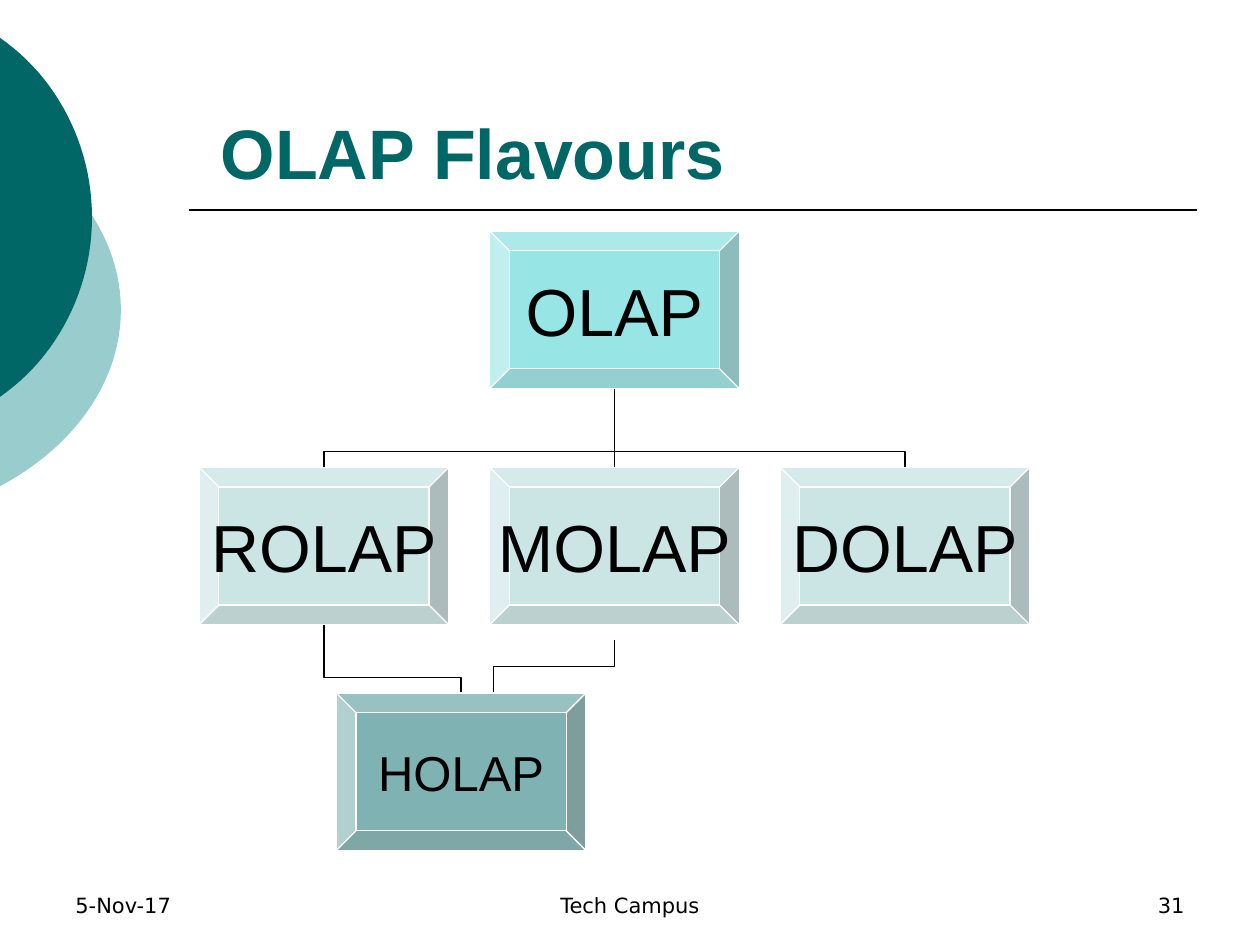
from dataclasses import dataclass

import pptx
import pptx.dml.color
import pptx.enum.shapes
import pptx.enum.text
import pptx.oxml
import pptx.oxml.ns
import pptx.util
from lxml import etree

Pt = pptx.util.Pt
RGB = pptx.dml.color.RGBColor.from_string
qn = pptx.oxml.ns.qn
Align = pptx.enum.text.PP_ALIGN
Anchor = pptx.enum.text.MSO_ANCHOR
Connector = pptx.enum.shapes.MSO_CONNECTOR


@dataclass(frozen=True)
class Theme:
    ink: str = "000000"
    edge: str = "FFFFFF"
    dark: str = "006666"
    pale: str = "99CCCC"
    bright: str = "33CCCC"
    font: str = "Arial"
    footer_font: str = "DejaVu Sans"
    title_size: float = 40
    node_size: float = 38
    small_node_size: float = 28
    footer_size: float = 12
    hairline: float = 0.75
    rule: float = 1


@dataclass(frozen=True)
class Node:
    label: str
    left: float
    top: float
    color: str
    size: float
    width: float = 142.6
    height: float = 90

    @property
    def center(self) -> float:
        return self.left + self.width / 2

    @property
    def bottom(self) -> float:
        return self.top + self.height


@dataclass(frozen=True)
class Link:
    start: tuple[float, float]
    end: tuple[float, float]
    bend: float


@dataclass(frozen=True)
class Disc:
    """Visible right part of a disc: upper Bezier arc, mirrored below its last point."""
    color: str
    arc: tuple[tuple[float, float], ...]


@dataclass(frozen=True)
class Caption:
    text: str
    left: float
    top: float
    width: float
    height: float
    align: Align
    font: str
    size: float
    color: str
    bold: bool = False


def write(frame, text: str, align: Align, font: str, size: float,
          color: str, bold: bool = False) -> None:
    paragraph = frame.paragraphs[0]
    paragraph.alignment = align
    run = paragraph.add_run()
    run.text = text
    run.font.name, run.font.size, run.font.bold = font, Pt(size), bold
    run.font.color.rgb = RGB(color)


def draw_disc(slide, disc: Disc, steps: int = 24) -> None:
    def on_curve(t: float) -> tuple[float, float]:
        weights = ((1 - t) ** 3, 3 * t * (1 - t) ** 2, 3 * t * t * (1 - t), t ** 3)
        return tuple(sum(w * p[axis] for w, p in zip(weights, disc.arc)) for axis in (0, 1))

    upper = [on_curve(i / steps) for i in range(steps + 1)]
    middle = disc.arc[-1][1]
    lower = [(x, 2 * middle - y) for x, y in reversed(upper[:-1])]
    outline = [(Pt(x), Pt(y)) for x, y in upper + lower]
    builder = slide.shapes.build_freeform(*outline[0])
    builder.add_line_segments(outline[1:], close=True)
    shape = builder.convert_to_shape()
    shape.shadow.inherit = False
    shape.fill.solid()
    shape.fill.fore_color.rgb = RGB(disc.color)
    shape.line.fill.background()


def draw_line(slide, kind: Connector, start: tuple[float, float],
              end: tuple[float, float], width: float):
    line = slide.shapes.add_connector(kind, *(Pt(v) for v in (*start, *end)))
    line.line.color.rgb = RGB(theme.ink)
    line.line.width = Pt(width)
    etree.SubElement(line._element.spPr, qn("a:effectLst"))
    return line


def draw_link(slide, link: Link) -> None:
    (x1, y1), (x2, y2) = link.start, link.end
    if x1 == x2:
        draw_line(slide, Connector.STRAIGHT, link.start, link.end, theme.hairline)
        return
    # A quarter turn makes the elbow leave and arrive vertically
    cx, cy = (x1 + x2) / 2, (y1 + y2) / 2
    begin, finish = ((cx + y - cy, cy - x + cx) for x, y in (link.start, link.end))
    elbow = draw_line(slide, Connector.ELBOW, begin, finish, theme.hairline)
    properties = elbow._element.spPr
    properties.find(qn("a:xfrm")).set("rot", "5400000")
    guides = properties.find(qn("a:prstGeom")).get_or_add_avLst()
    share = round((link.bend - y1) / (y2 - y1) * 100000)
    etree.SubElement(guides, qn("a:gd"), name="adj1", fmla=f"val {share}")


def draw_node(slide, node: Node) -> None:
    box = slide.shapes.add_shape(
        pptx.enum.shapes.MSO_SHAPE.BEVEL,
        *(Pt(v) for v in (node.left, node.top, node.width, node.height)))
    box.shadow.inherit = False
    box.adjustments[0] = 0.125
    box.fill.solid()
    box.fill.fore_color.rgb = RGB(node.color)
    tint = box._element.spPr.find(qn("a:solidFill"))[0]
    etree.SubElement(tint, qn("a:alpha"), val="50000")
    box.line.color.rgb = RGB(theme.edge)
    box.line.width = Pt(theme.hairline)
    frame = box.text_frame
    frame.margin_left = frame.margin_right = frame.margin_top = frame.margin_bottom = 0
    frame.word_wrap = False
    frame.vertical_anchor = Anchor.MIDDLE
    write(frame, node.label, Align.CENTER, theme.font, node.size, theme.ink)


def draw_caption(slide, item: Caption) -> None:
    frame = slide.shapes.add_textbox(
        *(Pt(v) for v in (item.left, item.top, item.width, item.height))).text_frame
    frame.word_wrap = True
    frame.vertical_anchor = Anchor.BOTTOM
    write(frame, item.text, item.align, item.font, item.size, item.color, item.bold)


theme = Theme()

# Hierarchy: one root, three flavours on an even pitch, one hybrid
FIRST_LEFT, PITCH = 113.8, 166
root = Node("OLAP", FIRST_LEFT + PITCH, 132, theme.bright, theme.node_size)
flavours = [Node(label, FIRST_LEFT + i * PITCH, 267, theme.pale, theme.node_size)
            for i, label in enumerate(("ROLAP", "MOLAP", "DOLAP"))]
hybrid = Node("HOLAP", 192.2, 396, theme.dark, theme.small_node_size)
rolap, molap, _ = flavours

links = [Link((root.center, root.bottom), (flavour.center, flavour.top), 258)
         for flavour in flavours]
links += [
    Link((rolap.center, rolap.bottom), (hybrid.center, hybrid.top), 387.3),
    Link((molap.center, 365.8), (282.2, hybrid.top), 381),
]

discs = [
    Disc(theme.pale, ((0, 76.3), (43.2, 99.4), (69.1, 136.8), (69.1, 177.1))),
    Disc(theme.dark, ((0, 21.6), (33.1, 44.6), (52.6, 83.5), (52.6, 124.2))),
]

footer_style = (theme.footer_font, theme.footer_size, theme.ink)
captions = [
    Caption("5-Nov-17", 36, 492, 168, 36, Align.LEFT, *footer_style),
    Caption("Tech Campus", 246, 492, 228, 36, Align.CENTER, *footer_style),
    Caption("31", 516, 492, 168, 36, Align.RIGHT, *footer_style),
    Caption(" OLAP Flavours", 108, 24, 576, 90, Align.LEFT,
            theme.font, theme.title_size, theme.dark, True),
]

deck = pptx.Presentation()
deck.slide_width, deck.slide_height = Pt(720), Pt(540)
slide = deck.slides.add_slide(deck.slide_layouts[6])

# Side decoration and title rule
for disc in discs:
    draw_disc(slide, disc)
draw_line(slide, Connector.STRAIGHT, (108, 120), (684, 120), theme.rule)

# Title and footer
for caption in captions:
    draw_caption(slide, caption)

# Diagram, links behind boxes
for link in links:
    draw_link(slide, link)
for node in (root, *flavours, hybrid):
    draw_node(slide, node)

deck.save("out.pptx")
